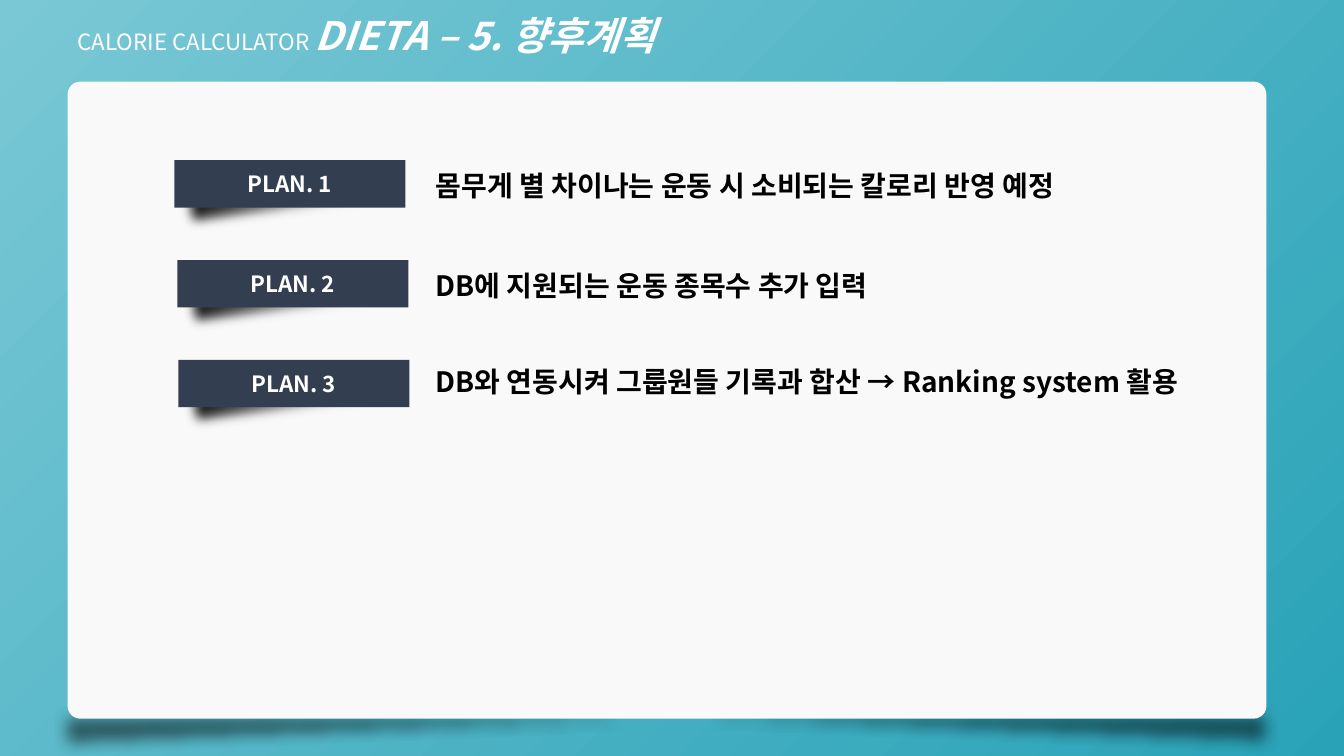
from dataclasses import dataclass, replace

from lxml.etree import SubElement
from pptx import Presentation
from pptx.dml.color import RGBColor
from pptx.enum.shapes import MSO_SHAPE as Shape
from pptx.enum.text import MSO_ANCHOR as Anchor, MSO_AUTO_SIZE as AutoSize, PP_ALIGN as Align
from pptx.oxml.ns import qn
from pptx.util import Inches, Pt

WIDTH, HEIGHT = Inches(13.33), Inches(7.5)
FONT = "Noto Sans CJK KR"
WHITE, BLACK, NAVY, PAPER = "FFFFFF", "000000", "333F50", "F9F9F9"
TEAL_LIGHT, TEAL_DARK = "7AC8D5", "29A2B7"
SOFT_EDGE = Pt(10)
PLAN_TOP, PLAN_STEP = 21.2, 13.2


@dataclass(frozen=True)
class Box:
    """A frame in percent of the slide's width and height."""
    x: float
    y: float
    w: float
    h: float

    def emu(self) -> list[int]:
        pairs = ((self.x, WIDTH), (self.y, HEIGHT), (self.w, WIDTH), (self.h, HEIGHT))
        return [round(share * full / 100) for share, full in pairs]


@dataclass(frozen=True)
class Run:
    text: str
    color: str
    format: dict


@dataclass(frozen=True)
class Plan:
    label: str
    text: str
    label_x: float
    text_y: float


PLANS = [
    Plan("PLAN. 1", "몸무게 별 차이나는 운동 시 소비되는 칼로리 반영 예정", 12.98, 21.6),
    Plan("PLAN. 2", "DB에 지원되는 운동 종목수 추가 입력", 13.2, 34.8),
    Plan("PLAN. 3", "DB와 연동시켜 그룹원들 기록과 합산 → Ranking system 활용", 13.28, 47.6),
]
TITLE = [
    Run("CALORIE CALCULATOR ", WHITE, {"size": Pt(16)}),
    Run("DIETA – 5. 향후계획", WHITE, {"size": Pt(28), "bold": True, "italic": True}),
]


def rgb(color: str) -> RGBColor:
    return RGBColor.from_string(color)


def fill_gradient(fill, colors: tuple[str, str], angle: float) -> None:
    fill.gradient()
    fill.gradient_angle = angle
    for stop, color in zip(fill.gradient_stops, colors):
        stop.color.rgb = rgb(color)


def add_shape(shapes, kind: Shape, box: Box, color: str):
    s = shapes.add_shape(kind, *box.emu())
    s.shadow.inherit = False
    s.fill.solid()
    s.fill.fore_color.rgb = rgb(color)
    s.line.fill.background()
    return s


def soften(s) -> None:
    effects = s._element.spPr.find(qn("a:effectLst"))
    SubElement(effects, qn("a:softEdge"), rad=str(SOFT_EDGE))


def write(tf, runs: list[Run]) -> None:
    tf.word_wrap = True
    p = tf.paragraphs[0]
    for run in runs:
        r = p.add_run()
        r.text = run.text
        r.font.color.rgb = rgb(run.color)
        for name, value in {"name": FONT, **run.format}.items():
            setattr(r.font, name, value)
        SubElement(r._r.get_or_add_rPr(), qn("a:ea"), typeface=FONT)


def add_text(shapes, box: Box, runs: list[Run]) -> None:
    tf = shapes.add_textbox(*box.emu()).text_frame
    write(tf, runs)
    tf.auto_size = AutoSize.SHAPE_TO_FIT_TEXT


def add_panel(shapes) -> None:
    """Add the paper panel with a wedge of shade under each lower corner."""
    group = shapes.add_group_shape().shapes
    wedges = [(Box(4.88, 93.07, 90.17, 6.67), ("flipH", "flipV")),
              (Box(4.05, 93.33, 90.17, 6.67), ("flipV",))]
    for box, flips in wedges:
        s = add_shape(group, Shape.RIGHT_TRIANGLE, box, BLACK)
        for flip in flips:
            s._element.spPr.xfrm.set(flip, "1")
        color = s._element.spPr.find(qn("a:solidFill"))[0]
        SubElement(color, qn("a:alpha"), val="51000")
        soften(s)
    panel = add_shape(group, Shape.ROUNDED_RECTANGLE, Box(5.03, 10.8, 89.2, 84.27), PAPER)
    panel.adjustments[0] = 0.02


def add_plan(shapes, plan: Plan, y: float) -> None:
    label_box = Box(plan.label_x, y, 17.18, 6.27)
    group = shapes.add_group_shape().shapes
    shade_box = replace(label_box, x=plan.label_x - 0.3, y=y + 0.73, w=17.48, h=8.13)
    shade = add_shape(group, Shape.RECTANGLE, shade_box, BLACK)
    fill_gradient(shade.fill, (BLACK, WHITE), 0)
    shade.rotation = -7.5
    soften(shade)

    label = add_shape(group, Shape.RECTANGLE, label_box, NAVY)
    tf = label.text_frame
    write(tf, [Run(plan.label, WHITE, {"size": Pt(16), "bold": True})])
    tf.vertical_anchor = Anchor.MIDDLE
    tf.paragraphs[0].alignment = Align.CENTER

    add_text(shapes, Box(31.66, plan.text_y, 68.34, 5.87),
             [Run(plan.text, BLACK, {"size": Pt(20), "bold": True})])


def main() -> None:
    prs = Presentation()
    prs.slide_width, prs.slide_height = WIDTH, HEIGHT
    slide = prs.slides.add_slide(prs.slide_layouts[6])
    fill_gradient(slide.background.fill, (TEAL_LIGHT, TEAL_DARK), 315)
    add_panel(slide.shapes)
    add_text(slide.shapes, Box(5.03, 0.8, 56.41, 7.6), TITLE)
    for i, plan in enumerate(PLANS):
        add_plan(slide.shapes, plan, PLAN_TOP + i * PLAN_STEP)
    prs.save("out.pptx")


if __name__ == "__main__":
    main()
